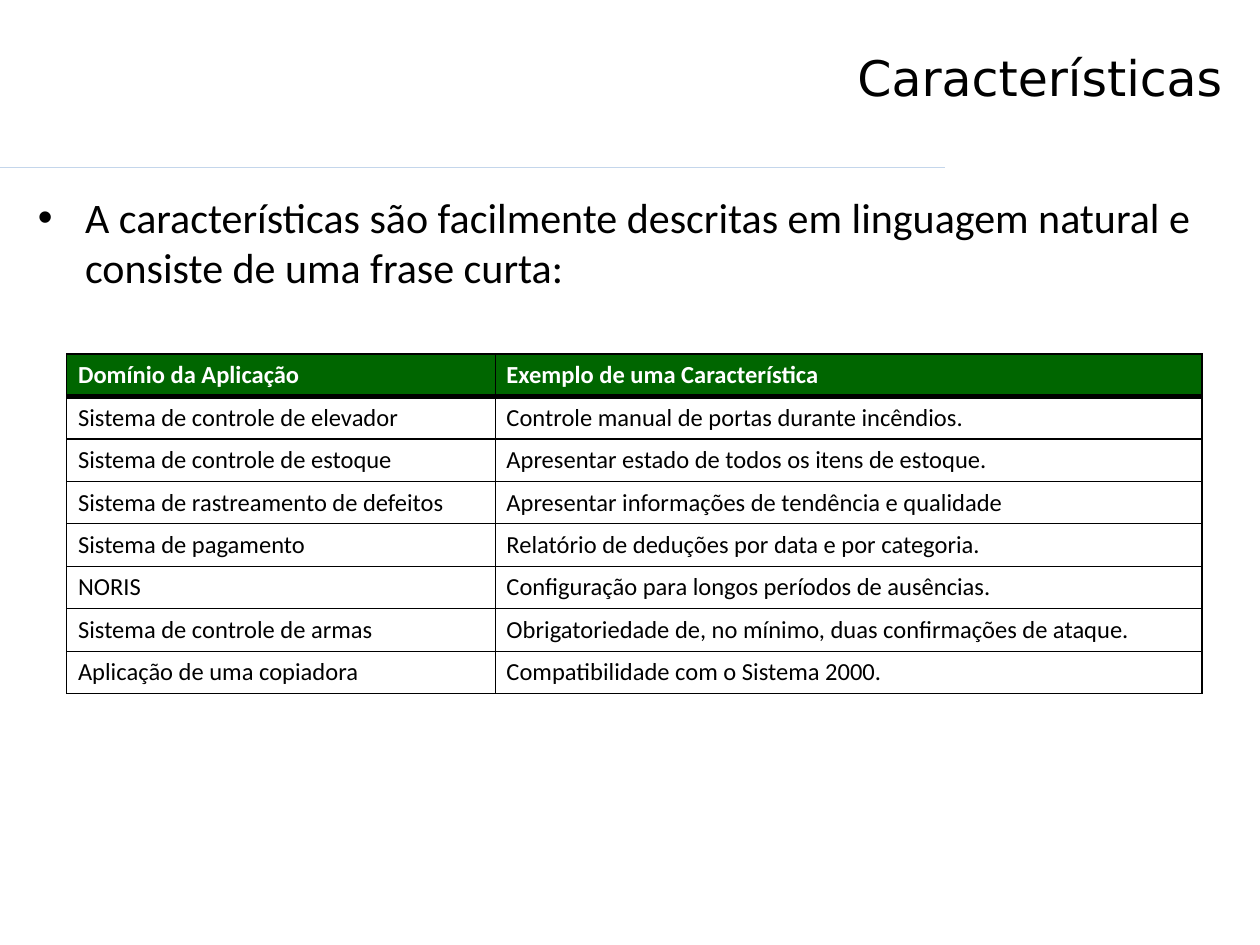
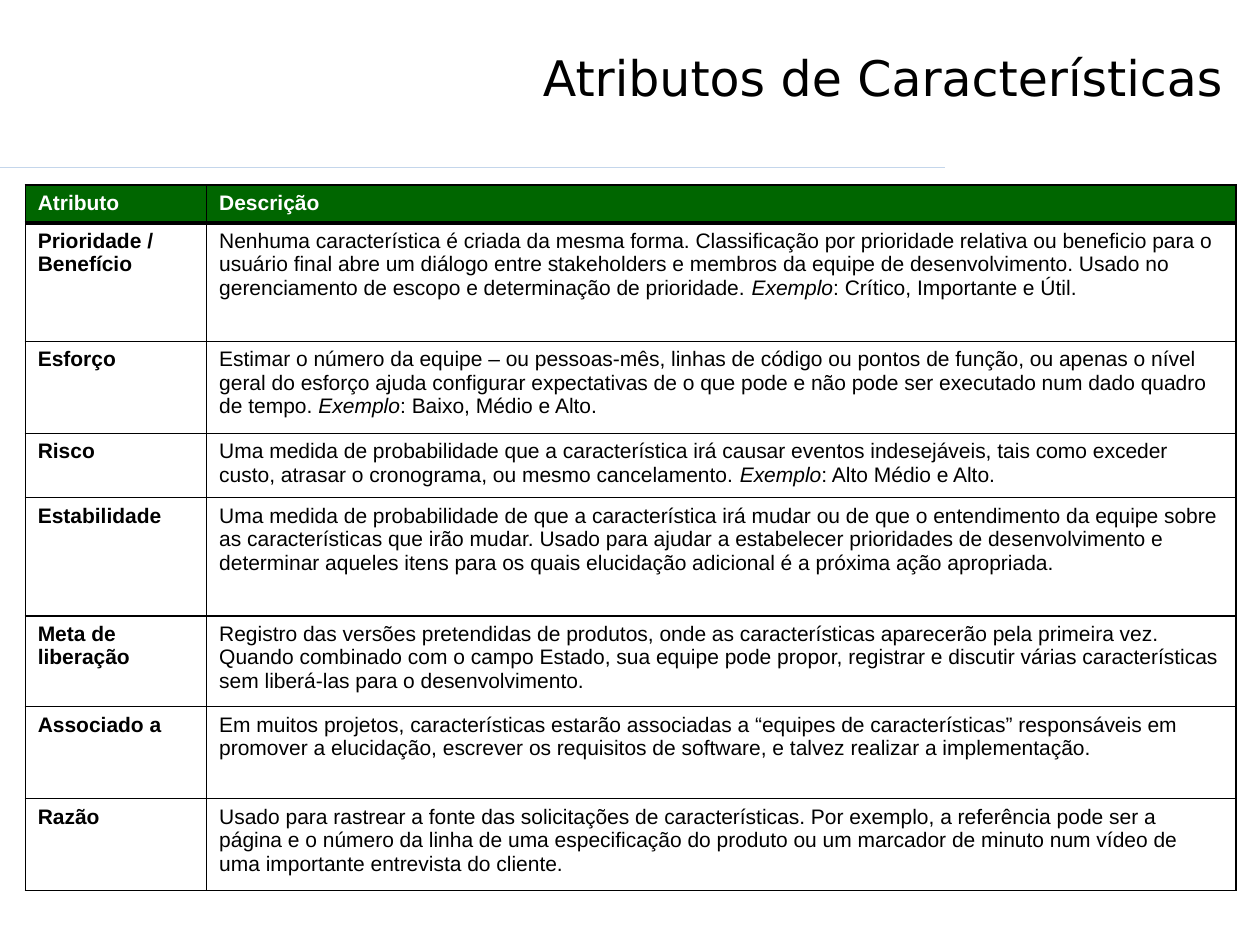
from lxml.etree import SubElement
from pptx import Presentation
from pptx.dml.color import RGBColor
from pptx.enum.shapes import MSO_CONNECTOR
from pptx.enum.text import MSO_ANCHOR
from pptx.oxml import parse_xml
from pptx.oxml.ns import nsdecls, qn
from pptx.util import Inches, Pt

BLACK, WHITE, GREEN, PALE_BLUE = "000000", "FFFFFF", "006600", "C4D6EB"


def color(hex_value):
    """Turn a hex string into a colour."""
    return RGBColor.from_string(hex_value)


def add_grid(slide, place, columns, heights, rows, inset, font, bold_column):
    """Add a bordered table with a green header; text between asterisks is italic."""
    grid = slide.shapes.add_table(
        len(rows), len(columns), *[Inches(v) for v in place]).table
    for column, width in zip(grid.columns, columns):
        column.width = Inches(width)
    last = len(rows) - 1
    for r, (row, height) in enumerate(zip(rows, heights)):
        grid.rows[r].height = Inches(height)
        borders = {"lnL": 0.75, "lnR": 0.75,
                   "lnT": {0: 1, 1: 3}.get(r, 0.75),
                   "lnB": {0: 3, last: 1}.get(r, 0.75)}
        for c, words in enumerate(row):
            cell = grid.cell(r, c)
            cell.margin_left = cell.margin_right = Inches(inset)
            cell.margin_top = cell.margin_bottom = Inches(0.05)
            if r == 0:
                cell.fill.solid()
                cell.fill.fore_color.rgb = color(GREEN)
            else:
                cell.fill.background()
            properties = cell._tc.get_or_add_tcPr()
            for position, (side, width) in enumerate(borders.items()):
                properties.insert(position, parse_xml(
                    f'<a:{side} {nsdecls("a")} w="{Pt(width)}"><a:solidFill>'
                    f'<a:srgbClr val="{BLACK}"/></a:solidFill></a:{side}>'))
            for part, piece in enumerate(words.split("*")):
                run = cell.text_frame.paragraphs[0].add_run()
                run.text = piece
                style = dict(font, bold=r == 0 or c == bold_column,
                             italic=part % 2 == 1)
                for attribute, value in style.items():
                    setattr(run.font, attribute, value)
                run.font.color.rgb = color(WHITE if r == 0 else BLACK)


prs = Presentation()
prs.slide_width, prs.slide_height = Inches(10), Inches(7.5)

# Shared look on the master: title and body places and text styles
master = prs.slide_master
places = [(0.18, 0.28, 9.62, 1.01), (0.2, 1.47, 9.61, 5.2)]
for holder, place in zip(master.placeholders, places):
    for attribute, value in zip(("left", "top", "width", "height"), place):
        setattr(holder, attribute, Inches(value))
title_frame = master.placeholders[0].text_frame
title_frame.vertical_anchor = MSO_ANCHOR.TOP
title_frame.margin_top = Inches(0.1)
for style_name, align, size, face in [("p:titleStyle", "r", 28, "DejaVu Sans"),
                                      ("p:bodyStyle", "l", 24, "Calibri")]:
    level = next(master.element.iter(qn(style_name))).find(qn("a:lvl1pPr"))
    level.set("algn", align)
    run_style = level.find(qn("a:defRPr"))
    run_style.set("sz", str(size * 100))
    run_style.find(qn("a:latin")).set("typeface", face)

features = prs.slides.add_slide(prs.slide_layouts[1])
attributes = prs.slides.add_slide(prs.slide_layouts[5])

# The rule under the title is drawn once and moved to the master
rule = features.shapes.add_connector(
    MSO_CONNECTOR.STRAIGHT, Inches(0), Inches(1.33), Inches(7.5), Inches(1.33))
rule.line.color.rgb = color(PALE_BLUE)
rule.line.width = Pt(0.75)
SubElement(rule.element.spPr, qn("a:effectLst"))
master.element.cSld.spTree.append(rule.element)

# Slide 1: features
features.shapes.title.text = "Características"
features.placeholders[1].text = (
    "A características são facilmente descritas em linguagem natural e "
    "consiste de uma frase curta:")
feature_rows = [
    ("Domínio da Aplicação", "Exemplo de uma Característica"),
    ("Sistema de controle de elevador", "Controle manual de portas durante incêndios."),
    ("Sistema de controle de estoque", "Apresentar estado de todos os itens de estoque."),
    ("Sistema de rastreamento de defeitos",
     "Apresentar informações de tendência e qualidade"),
    ("Sistema de pagamento", "Relatório de deduções por data e por categoria."),
    ("NORIS", "Configuração para longos períodos de ausências."),
    ("Sistema de controle de armas",
     "Obrigatoriedade de, no mínimo, duas confirmações de ataque."),
    ("Aplicação de uma copiadora", "Compatibilidade com o Sistema 2000."),
]
add_grid(features, (0.53, 2.81, 9.01, 2.67), (3.4, 5.61),
         [2.67 / len(feature_rows)] * len(feature_rows), feature_rows,
         0.09, {"name": "Calibri", "size": Pt(14)}, None)

# Slide 2: attributes of features
attributes.shapes.title.text = "Atributos de Características"
attribute_rows = [
    ("Atributo", "Descrição"),
    ("Prioridade / Benefício",
     "Nenhuma característica é criada da mesma forma. Classificação por prioridade "
     "relativa ou beneficio para o usuário final abre um diálogo entre stakeholders e "
     "membros da equipe de desenvolvimento. Usado no gerenciamento de escopo e "
     "determinação de prioridade. *Exemplo*: Crítico, Importante e Útil."),
    ("Esforço",
     "Estimar o número da equipe – ou pessoas-mês, linhas de código ou pontos de "
     "função, ou apenas o nível geral do esforço ajuda configurar expectativas de o "
     "que pode e não pode ser executado num dado quadro de tempo. "
     "*Exemplo*: Baixo, Médio e Alto."),
    ("Risco",
     "Uma medida de probabilidade que a característica irá causar eventos "
     "indesejáveis, tais como exceder custo, atrasar o cronograma, ou mesmo "
     "cancelamento. *Exemplo*: Alto Médio e Alto."),
    ("Estabilidade",
     "Uma medida de probabilidade de que a característica irá mudar ou de que o "
     "entendimento da equipe sobre as características que irão mudar. Usado para "
     "ajudar a estabelecer prioridades de desenvolvimento e determinar aqueles itens "
     "para os quais elucidação adicional é a próxima ação apropriada."),
    ("Meta de liberação",
     "Registro das versões pretendidas de produtos, onde as características "
     "aparecerão pela primeira vez. Quando combinado com o campo Estado, sua equipe "
     "pode propor, registrar e discutir várias características sem liberá-las para o "
     "desenvolvimento."),
    ("Associado a",
     "Em muitos projetos, características estarão associadas a “equipes de "
     "características” responsáveis em promover a elucidação, escrever os requisitos "
     "de software, e talvez realizar a implementação."),
    ("Razão",
     "Usado para rastrear a fonte das solicitações de características. Por exemplo, a "
     "referência pode ser a página e o número da linha de uma especificação do "
     "produto ou um marcador de minuto num vídeo de uma importante entrevista do "
     "cliente."),
]
add_grid(attributes, (0.2, 1.47, 9.61, 5.59), (1.44, 8.17),
         (0.3, 0.94, 0.73, 0.51, 0.94, 0.72, 0.73, 0.73), attribute_rows,
         0.1, {"name": "Arial", "size": Pt(12)}, 0)

prs.save("out.pptx")
